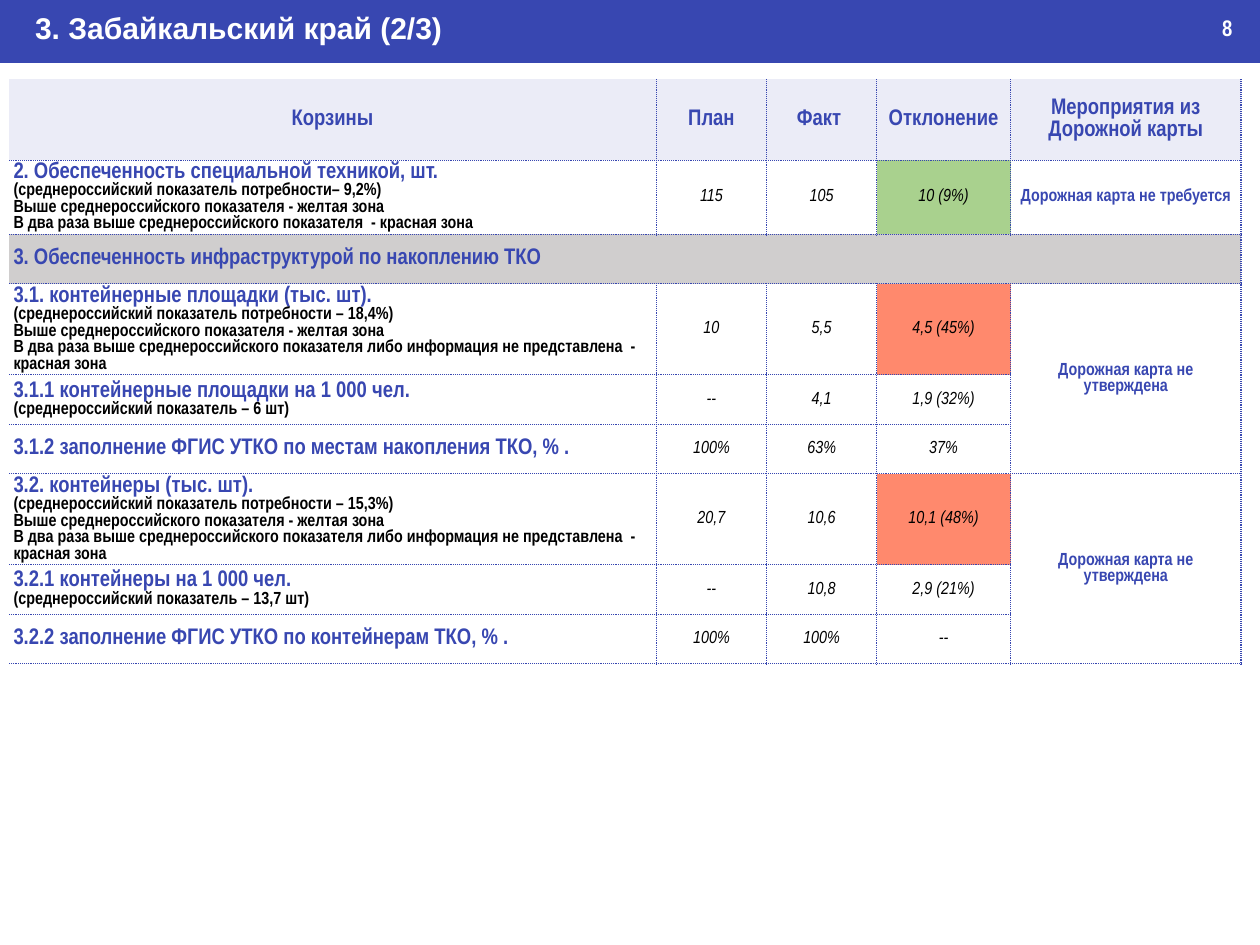
from lxml.etree import SubElement as Sub
from pptx import Presentation
from pptx.dml.color import RGBColor as RGB
from pptx.enum.shapes import MSO_SHAPE as Shape
from pptx.enum.text import MSO_ANCHOR as Anchor, PP_ALIGN as Align
from pptx.oxml.ns import qn
from pptx.util import Inches, Pt

BLUE = RGB(0x38, 0x47, 0xB1)
PALE = RGB(0xEB, 0xEC, 0xF7)
GRAY = RGB(0xD0, 0xCE, 0xCE)
GREEN = RGB(0xA9, 0xD1, 0x8E)
RED = RGB(0xFF, 0x89, 0x6D)
WHITE = RGB(0xFF, 0xFF, 0xFF)
BLACK = RGB(0, 0, 0)

NARROW = "Arial Narrow"
HEAD = dict(name=NARROW, size=Pt(18), bold=True, color=BLUE)
NOTE = HEAD | dict(size=Pt(14), color=BLACK)
VALUE = NOTE | dict(bold=False, italic=True)
PLAN = NOTE | dict(color=BLUE)
PAGE = HEAD | dict(color=WHITE)
TITLE = PAGE | dict(name="Arial", size=Pt(24))
NO_STYLE = "{2D5ABB26-0587-4C30-8999-92F81FD0307C}"

ABOVE = "Выше среднероссийского показателя - желтая зона"
TWICE = "В два раза выше среднероссийского показателя"
LONG = TWICE + " либо информация не представлена  - красная зона"
NEED = "(среднероссийский показатель потребности"
MEAN = "(среднероссийский показатель – "
NONE = "Дорожная карта не утверждена"

# Height in inches, fill of the fourth column, lines of the first cell, other cells
ROWS = [
    (0.9, PALE, ["Корзины"],
     ["План", "Факт ", "Отклонение", "Мероприятия из Дорожной карты"]),
    (0.82, GREEN,
     ["2. Обеспеченность специальной техникой, шт.", NEED + "– 9,2%)",
      ABOVE, TWICE + "  - красная зона"],
     ["115", "105", "10 (9%)", "Дорожная карта не требуется"]),
    (0.55, GRAY, ["3. Обеспеченность инфраструктурой по накоплению ТКО"], []),
    (1.01, RED,
     ["3.1. контейнерные площадки (тыс. шт).", NEED + " – 18,4%)", ABOVE, LONG],
     ["10", "5,5", "4,5 (45%)", NONE]),
    (0.55, None,
     ["3.1.1 контейнерные площадки на 1 000 чел.", MEAN + "6 шт)"],
     ["--", "4,1", "1,9 (32%)"]),
    (0.55, None, ["3.1.2 заполнение ФГИС УТКО по местам накопления ТКО, % ."],
     ["100%", "63%", "37%"]),
    (1.01, RED,
     ["3.2. контейнеры (тыс. шт).", NEED + " – 15,3%)", ABOVE, LONG],
     ["20,7", "10,6", "10,1 (48%)", NONE]),
    (0.55, None, ["3.2.1 контейнеры на 1 000 чел.", MEAN + "13,7 шт)"],
     ["--", "10,8", "2,9 (21%)"]),
    (0.55, None, ["3.2.2 заполнение ФГИС УТКО по контейнерам ТКО, % ."],
     ["100%", "100%", "--"]),
]
COLS = [7.19, 1.23, 1.22, 1.49, 2.56]
MERGES = [(2, 0, 2, 4), (3, 4, 5, 4), (6, 4, 8, 4)]


def write(para, text, form):
    run = para.add_run()
    run.text = text
    for key, val in form.items():
        if key == "color":
            run.font.color.rgb = val
        else:
            setattr(run.font, key, val)


def rule(cell, sides):
    """Draw dotted borders on the given sides of a cell."""
    props = cell._tc.get_or_add_tcPr()
    for spot, side in enumerate(sides):
        line = Sub(props, qn("a:ln" + side), w=str(Pt(1)))
        fill = Sub(line, qn("a:solidFill"))
        Sub(fill, qn("a:srgbClr"), val=str(BLUE))
        Sub(line, qn("a:prstDash"), val="sysDot")
        props.insert(spot, line)


deck = Presentation()
W = deck.slide_width = Inches(14)
H = deck.slide_height = Inches(10.5)
slide = deck.slides.add_slide(deck.slide_layouts[6])

bar = slide.shapes.add_shape(Shape.RECTANGLE, 0, 0, W, H // 15)
bar.shadow.inherit = False
bar.fill.solid()
bar.fill.fore_color.rgb = BLUE
bar.line.fill.background()

frame = slide.shapes.add_table(
    len(ROWS), len(COLS), Inches(0.1), Inches(0.88),
    Inches(sum(COLS)), Inches(sum(row[0] for row in ROWS)))
table = frame.table
table.first_row = table.horz_banding = False
table._tbl.tblPr.find(qn("a:tableStyleId")).text = NO_STYLE
for col, width in zip(table.columns, COLS):
    col.width = Inches(width)

for r, (high, tint, lines, rest) in enumerate(ROWS):
    table.rows[r].height = Inches(high)
    texts = [lines] + [[text] for text in rest]
    for c in range(len(COLS)):
        cell = table.cell(r, c)
        cell.vertical_anchor = Anchor.MIDDLE
        cell.margin_left = cell.margin_right = Inches(0.05)
        cell.margin_top = cell.margin_bottom = Inches(0.02)
        if tint and (c == 3 or tint in (PALE, GRAY)):
            cell.fill.solid()
            cell.fill.fore_color.rgb = tint
        else:
            cell.fill.background()
        rule(cell, ["L"] * (c > 0) + ["R"] + ["T"] * (r > 0) + ["B"])
        for n, text in enumerate(texts[c] if c < len(texts) else []):
            body = cell.text_frame
            para = body.add_paragraph() if n else body.paragraphs[0]
            para.line_spacing = 1.0
            para.alignment = Align.CENTER if r == 0 or c else Align.LEFT
            if r == 0 or c == 0:
                form = NOTE if n else HEAD
            else:
                form = PLAN if c == 4 else VALUE
            write(para, text, form)

for top, left, low, right in MERGES:
    table.cell(top, left).merge(table.cell(low, right))

for text, form, x, y, w, h, inset, wrap in [
    ("3. Забайкальский край (2/3)", TITLE, 0, 0.005, 1, 0.05, 0.39, True),
    ("8", PAGE, 0.96, 0.01, 0.04, 0.04, 0.14, False),
]:
    box = slide.shapes.add_textbox(int(W * x), int(H * y), int(W * w), int(H * h))
    box.text_frame.margin_left = Inches(inset)
    box.text_frame.word_wrap = wrap
    write(box.text_frame.paragraphs[0], text, form)

deck.save("out.pptx")
